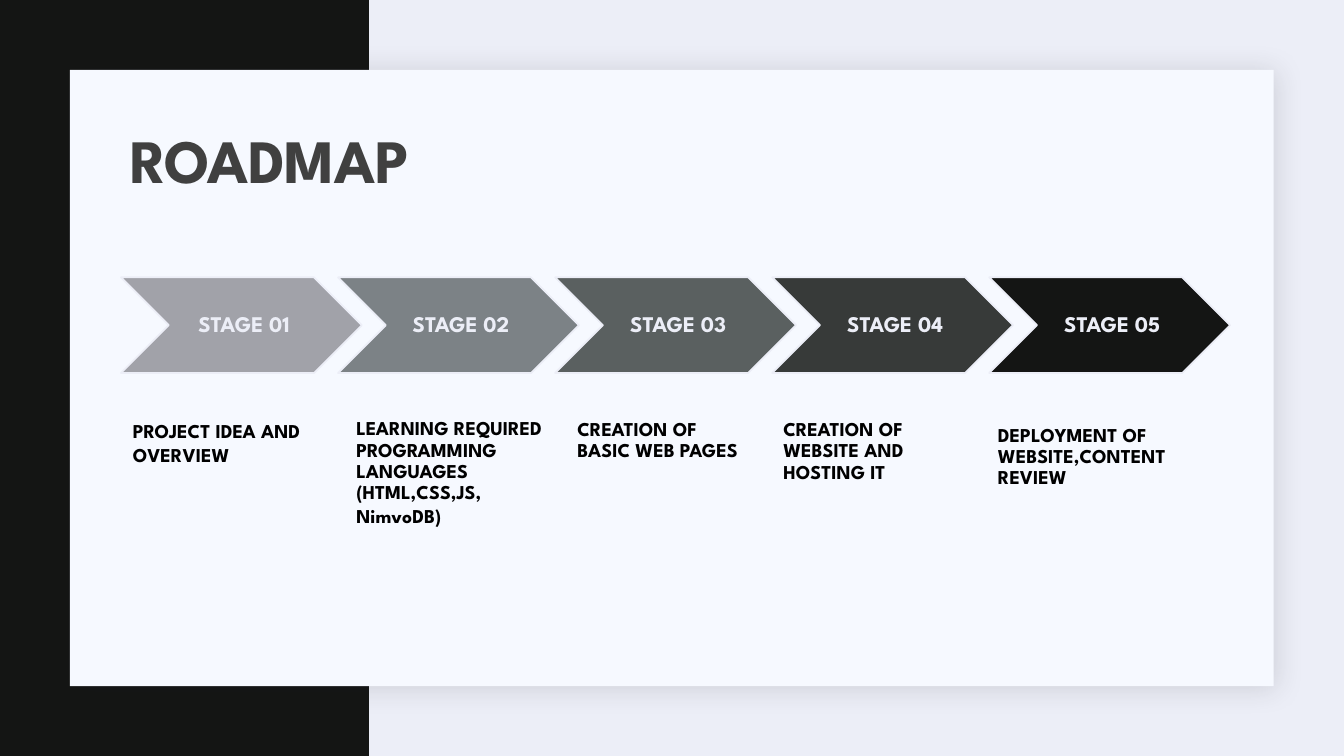
from dataclasses import dataclass

from lxml import etree
from pptx import Presentation
from pptx.dml.color import RGBColor
from pptx.enum import shapes, text
from pptx.oxml import ns
from pptx.util import Cm, Pt


@dataclass(frozen=True)
class Theme:
    font: str = "League Spartan"
    backdrop: str = "ECEEF7"
    band: str = "141514"
    card: str = "F6F9FF"
    shadow: str = "1F2125"
    title: str = "404040"
    caption: str = "000000"
    title_size: int = 44
    stage_size: int = 16
    caption_size: int = 14


@dataclass(frozen=True)
class Stage:
    color: str
    caption: str
    left: float
    top: float
    right_inset: float = 0.51
    line_spacing: float = 0.9


THEME = Theme()
STAGES = [
    Stage("A1A2A9", "PROJECT IDEA AND OVERVIEW", 3.35, 9.37, line_spacing=1.0),
    Stage("7C8286", "LEARNING REQUIRED PROGRAMMING LANGUAGES (HTML,CSS,JS,\nNimvoDB)",
          8.98, 9.37, right_inset=0),
    Stage("5A6060", "CREATION OF BASIC WEB PAGES", 14.55, 9.44),
    Stage("373A39", "CREATION OF WEBSITE AND HOSTING IT", 19.74, 9.39),
    Stage("141514", "DEPLOYMENT OF WEBSITE,CONTENT REVIEW", 25.15, 9.53, right_inset=0),
]
CHEVRON_LEFT, CHEVRON_TOP, CHEVRON_PITCH = 3.05, 6.99, 5.47


def rgb(color):
    return RGBColor.from_string(color)


def add_block(slide, preset, box, color, outline=None):
    block = slide.shapes.add_shape(preset, *map(Cm, box))
    block.shadow.inherit = False
    block.fill.solid()
    block.fill.fore_color.rgb = rgb(color)
    if outline:
        block.line.color.rgb = rgb(outline)
        block.line.width = Pt(1.25)
    else:
        block.line.fill.background()
    return block


def add_soft_shadow(block):
    effects = block._element.spPr.find(ns.qn("a:effectLst"))
    shadow = etree.SubElement(effects, ns.qn("a:outerShdw"), blurRad=str(Pt(20)),
                              dist=str(Pt(2)), dir="2700000", algn="tl", rotWithShape="0")
    tint = etree.SubElement(shadow, ns.qn("a:srgbClr"), val=THEME.shadow)
    etree.SubElement(tint, ns.qn("a:alpha"), val="15000")


def write(frame, content, size, color, insets, anchor=text.MSO_ANCHOR.TOP,
          align=text.PP_ALIGN.LEFT, line_spacing=0.9):
    frame.text = content
    frame.word_wrap = True
    frame.vertical_anchor = anchor
    frame.margin_left, frame.margin_top, frame.margin_right, frame.margin_bottom = map(Cm, insets)
    for paragraph in frame.paragraphs:
        paragraph.alignment = align
        paragraph.line_spacing = line_spacing
        paragraph.space_after = Pt(2)
        for run in paragraph.runs:
            run.font.name = THEME.font
            run.font.size = Pt(size)
            run.font.bold = True
            run.font.color.rgb = rgb(color)


def add_title(slide, content):
    title = slide.shapes.add_textbox(Cm(3.05), Cm(2.62), Cm(27.94), Cm(3))
    write(title.text_frame, content, THEME.title_size, THEME.title,
          (0.25, 0.13, 0.25, 0.13), text.MSO_ANCHOR.MIDDLE)
    run = title.text_frame.paragraphs[0].runs[0]
    run._r.get_or_add_rPr().set("spc", "-50")


def add_stage(slide, index, stage):
    box = (CHEVRON_LEFT + index * CHEVRON_PITCH, CHEVRON_TOP, 6.07, 2.41)
    chevron = add_block(slide, shapes.MSO_SHAPE.CHEVRON, box, stage.color, THEME.backdrop)
    write(chevron.text_frame, f"STAGE {index + 1:02}", THEME.stage_size, THEME.backdrop,
          (0.18, 0.05, 0.05, 0.05), text.MSO_ANCHOR.MIDDLE, text.PP_ALIGN.CENTER)
    caption = slide.shapes.add_textbox(Cm(stage.left), Cm(stage.top), Cm(4.85), Cm(4.57))
    write(caption.text_frame, stage.caption, THEME.caption_size, THEME.caption,
          (0, 1.19, stage.right_inset, 0), line_spacing=stage.line_spacing)


def main():
    deck = Presentation()
    deck.slide_width, deck.slide_height = Cm(33.87), Cm(19.05)
    slide = deck.slides.add_slide(deck.slide_layouts[6])
    slide.background.fill.solid()
    slide.background.fill.fore_color.rgb = rgb(THEME.backdrop)
    add_block(slide, shapes.MSO_SHAPE.RECTANGLE, (0, 0, 9.3, 19.05), THEME.band)
    card = add_block(slide, shapes.MSO_SHAPE.RECTANGLE, (1.76, 1.76, 30.34, 15.53), THEME.card)
    add_soft_shadow(card)
    for index, stage in enumerate(STAGES):
        add_stage(slide, index, stage)
    add_title(slide, "ROADMAP")
    deck.save("out.pptx")


if __name__ == "__main__":
    main()
